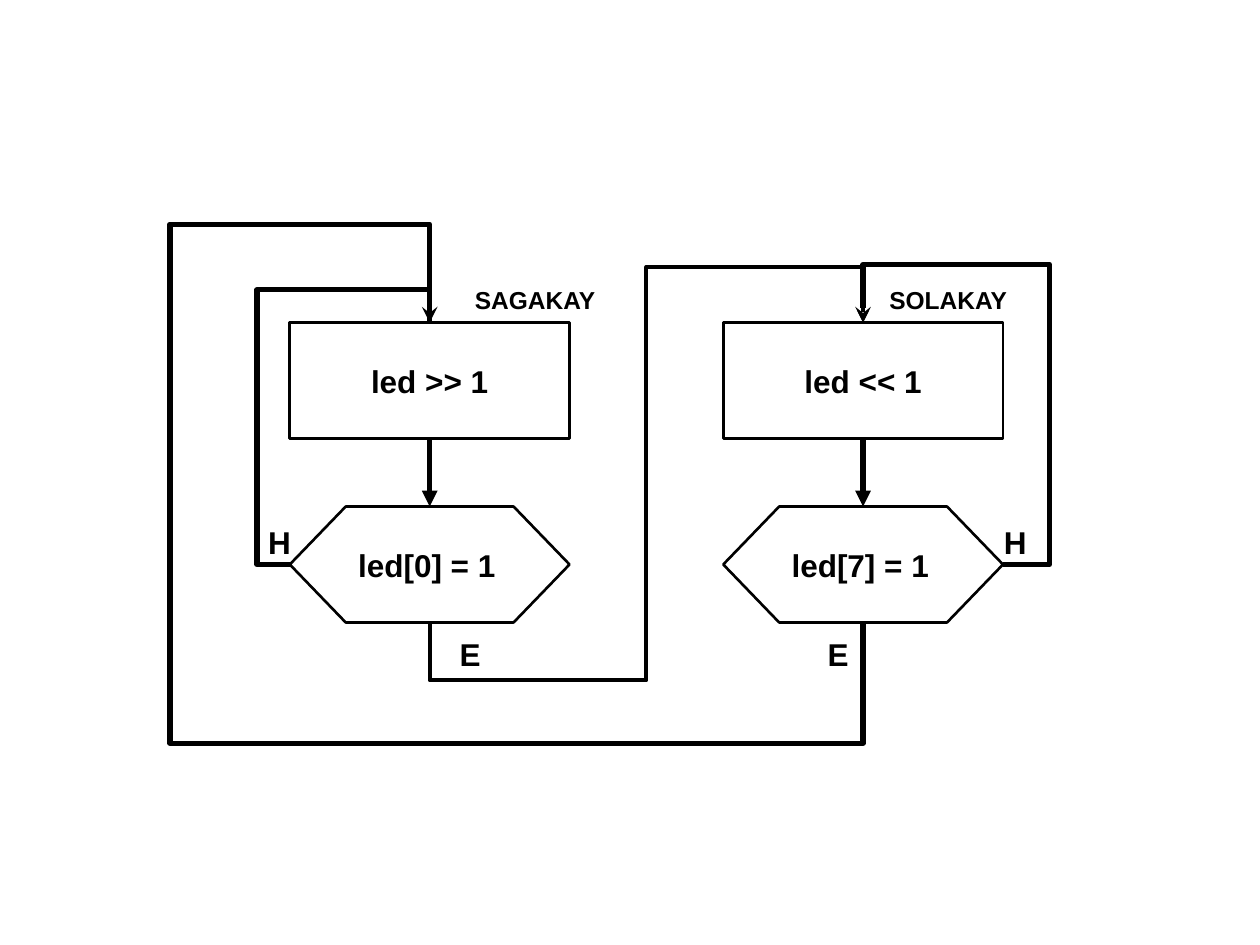
from dataclasses import dataclass
from typing import Optional

from lxml.etree import SubElement
from pptx import Presentation
from pptx.dml.color import RGBColor
from pptx.enum.shapes import MSO_CONNECTOR, MSO_SHAPE
from pptx.enum.text import MSO_ANCHOR, PP_ALIGN
from pptx.oxml.ns import qn
from pptx.util import Inches, Pt

BLACK = RGBColor(0, 0, 0)
CELL = Inches(0.1)  # the slide is a grid of 100 columns by 75 rows
FRAME = dict.fromkeys(
    ("margin_left", "margin_top", "margin_right", "margin_bottom"), CELL)
FONT = {"name": "Arial", "bold": True}

# Columns and rows of the chart
LEFT, RIGHT = 23, 57.4
WIDE, HIGH = 22.2, 9.2
STEP, TEST = 25.6, 40.2
MID_L, MID_R = LEFT + WIDE / 2, RIGHT + WIDE / 2
EDGE = RIGHT + WIDE
SIDE, FOOT = TEST + HIGH / 2, TEST + HIGH


@dataclass
class Node:
    text: str
    col: float
    row: float
    kind: MSO_SHAPE
    align: PP_ALIGN


@dataclass
class Label:
    text: str
    col: float
    row: float
    wide: float = 4.6
    high: float = 5.5
    size: int = 18


@dataclass
class Route:
    start: tuple
    end: tuple
    bends: tuple  # where each inner leg runs: columns and rows in turn
    upright: bool = False  # first leg runs up or down
    weight: float = 3
    head: Optional[str] = "stealth"


def cells(*sizes: float) -> list:
    return [round(size * CELL) for size in sizes]


def assign(target, values: dict) -> None:
    for name, value in values.items():
        setattr(target, name, value)


def write(shape, text: str, size: int, align: PP_ALIGN, anchor: MSO_ANCHOR) -> None:
    frame = shape.text_frame
    assign(frame, {**FRAME, "word_wrap": True, "vertical_anchor": anchor})
    par = frame.paragraphs[0]
    par.text, par.alignment = text, align
    assign(par.font, {**FONT, "size": Pt(size)})
    par.font.color.rgb = BLACK


def draw_node(shapes, node: Node):
    shape = shapes.add_shape(node.kind, *cells(node.col, node.row, WIDE, HIGH))
    shape.shadow.inherit = False
    shape.fill.background()
    shape.line.color.rgb = BLACK
    shape.line.width = Pt(1.5)
    write(shape, node.text, 18, node.align, MSO_ANCHOR.MIDDLE)
    return shape


def draw_label(shapes, label: Label) -> None:
    box = shapes.add_textbox(*cells(label.col, label.row, label.wide, label.high))
    write(box, label.text, label.size, PP_ALIGN.LEFT, MSO_ANCHOR.TOP)


def style(link, weight: float, head: Optional[str]) -> None:
    link.line.color.rgb = BLACK
    link.line.width = Pt(weight)
    line = link.line._get_or_add_ln()
    SubElement(line, qn("a:round"))
    if head:
        SubElement(line, qn("a:tailEnd"), type=head)
    SubElement(link._element.spPr, qn("a:effectLst"))


def draw_drop(shapes, top, low) -> None:
    link = shapes.add_connector(MSO_CONNECTOR.STRAIGHT, 0, 0, 0, 0)
    link.begin_connect(top, 2)
    link.end_connect(low, 0)
    style(link, 3, "triangle")


def draw_route(shapes, route: Route) -> None:
    (x, y), (u, v) = route.start, route.end
    ends = x, y, u, v
    if route.upright:  # lay the box flat, then turn it by 270 degrees
        mid, row = (x + u) / 2, (y + v) / 2
        half, rise = (y - v) / 2, (u - x) / 2
        ends = mid - half, row - rise, mid + half, row + rise
    link = shapes.add_connector(MSO_CONNECTOR.ELBOW, *cells(*ends))
    props = link._element.spPr
    if route.upright:
        props.find(qn("a:xfrm")).set("rot", str(270 * 60000))

    # Each bend is a share of the way from start to end
    geom = props.find(qn("a:prstGeom"))
    geom.set("prst", f"bentConnector{len(route.bends) + 2}")
    guides = geom.find(qn("a:avLst"))
    for i, bend in enumerate(route.bends):
        axis = (i + route.upright) % 2
        first, last = route.start[axis], route.end[axis]
        share = round((bend - first) / (last - first) * 100000)
        SubElement(guides, qn("a:gd"), name=f"adj{i + 1}", fmla=f"val {share}")
    style(link, route.weight, route.head)


RECT, PREP = MSO_SHAPE.RECTANGLE, MSO_SHAPE.FLOWCHART_PREPARATION
PAIRS = [
    (Node(step, col, STEP, RECT, PP_ALIGN.CENTER),
     Node(test, col, TEST, PREP, PP_ALIGN.LEFT))
    for col, step, test in ((LEFT, "led >> 1", "led[0] = 1"),
                            (RIGHT, "led << 1", "led[7] = 1"))
]
ROUTES = [
    Route((LEFT, SIDE), (MID_L, STEP), (20.4, 23)),
    Route((MID_L, FOOT), (MID_R, STEP), (54, 51.3, 21.2), True, 2.25),
    Route((MID_R, FOOT), (MID_L, STEP), (59, 13.5, 17.8), True, head=None),
    Route((EDGE, SIDE), (MID_R, STEP), (83.3, 21)),
]
LABELS = [
    Label("H", 20.3, 40.5),
    Label("E", 35.5, FOOT),
    Label("H", 78.7, 40.5),
    Label("E", 64.7, FOOT),
    Label("SAGAKAY", 36.7, 21.6, 12, 3.4, 14),
    Label("SOLAKAY", 69.6, 21.6, 12, 3.4, 14),
]


def main() -> None:
    deck = Presentation()
    assign(deck, {"slide_width": 100 * CELL, "slide_height": 75 * CELL})
    shapes = deck.slides.add_slide(deck.slide_layouts[6]).shapes

    # Steps and tests, joined in each column
    for pair in PAIRS:
        draw_drop(shapes, *(draw_node(shapes, node) for node in pair))

    # Loops back and across
    for route in ROUTES:
        draw_route(shapes, route)

    # Branch marks and state names
    for label in LABELS:
        draw_label(shapes, label)

    deck.save("out.pptx")


if __name__ == "__main__":
    main()
